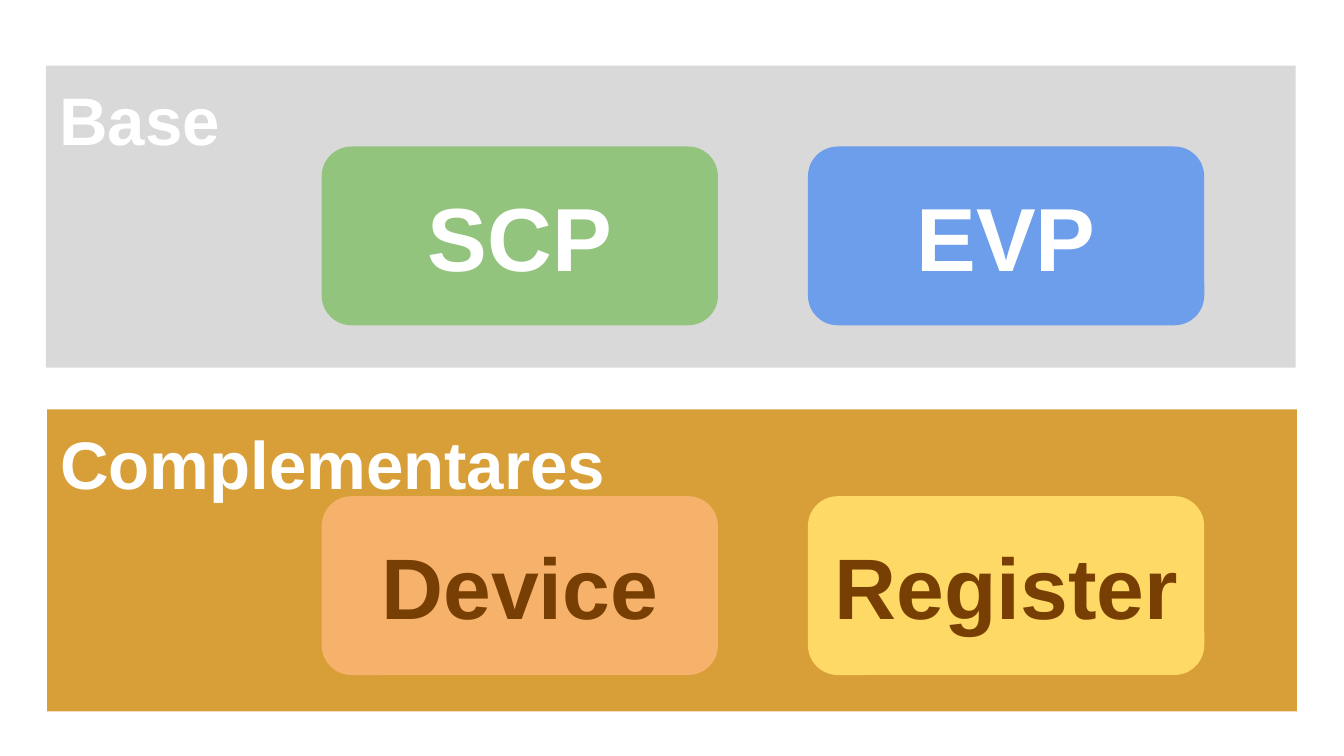
import pptx
import pptx.util
import pptx.dml.color
import pptx.enum.shapes
import pptx.enum.text

Cm = pptx.util.Cm
SHAPE = pptx.enum.shapes.MSO_SHAPE
ALIGN = pptx.enum.text.PP_ALIGN
ANCHOR = pptx.enum.text.MSO_ANCHOR

COLORS = {
    "white": "FFFFFF", "brown": "783F04", "gray": "D9D9D9", "ochre": "D89F39",
    "green": "93C47D", "blue": "6D9EEB", "orange": "F6B26B", "yellow": "FFD966",
}

# Content: each band with its modules (name, fill)
BANDS = [
    {"title": "Base", "fill": "gray", "left": 0.87, "top": 1.24,
     "box_top": 2.77, "size": 48, "color": "white",
     "modules": [("SCP", "green"), ("EVP", "blue")]},
    {"title": "Complementares", "fill": "ochre", "left": 0.89, "top": 7.74,
     "box_top": 9.38, "size": 46, "color": "brown",
     "modules": [("Device", "orange"), ("Register", "yellow")]},
]

# Layout in centimetres
BAND_W, BAND_H = 23.62, 5.71
BOX_LEFT, BOX_W, BOX_H, BOX_STEP = 6.08, 7.49, 3.38, 9.19
INSET = 0.25


def rgb(name):
    return pptx.dml.color.RGBColor.from_string(COLORS[name])


def add_text(s, text, size=36, color="white", align=ALIGN.LEFT, anchor=ANCHOR.TOP):
    tf = s.text_frame
    tf.word_wrap = True
    tf.vertical_anchor = anchor
    tf.margin_left = tf.margin_right = tf.margin_top = tf.margin_bottom = Cm(INSET)
    p = tf.paragraphs[0]
    p.alignment = align
    r = p.add_run()
    r.text = text
    r.font.name = "Arial"
    r.font.size = pptx.util.Pt(size)
    r.font.bold = True
    r.font.color.rgb = rgb(color)


def add_block(slide, kind, left, top, width, height, fill):
    s = slide.shapes.add_shape(kind, Cm(left), Cm(top), Cm(width), Cm(height))
    s.shadow.inherit = False
    s.fill.solid()
    s.fill.fore_color.rgb = rgb(fill)
    s.line.fill.background()
    return s


prs = pptx.Presentation()
prs.slide_width, prs.slide_height = Cm(25.4), Cm(14.29)
slide = prs.slides.add_slide(prs.slide_layouts[6])

# Background bands
for band in BANDS:
    s = add_block(slide, SHAPE.RECTANGLE, band["left"], band["top"],
                  BAND_W, BAND_H, band["fill"])
    add_text(s, band["title"])

# Module boxes
for band in BANDS:
    for i, (name, fill) in enumerate(band["modules"]):
        s = add_block(slide, SHAPE.FLOWCHART_ALTERNATE_PROCESS,
                      BOX_LEFT + i * BOX_STEP, band["box_top"], BOX_W, BOX_H, fill)
        add_text(s, name, size=band["size"], color=band["color"],
                 align=ALIGN.CENTER, anchor=ANCHOR.MIDDLE)

prs.save("out.pptx")
